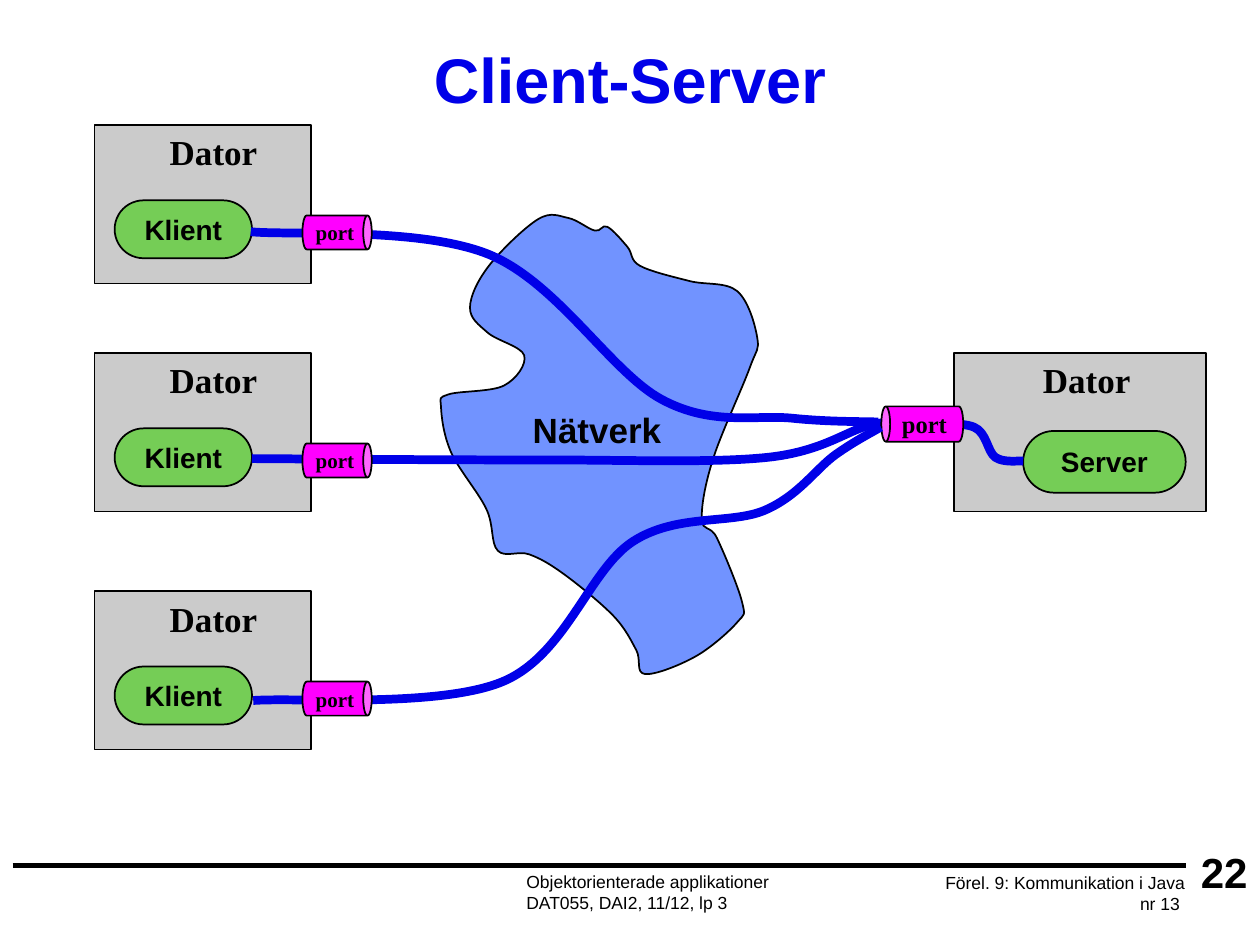
from lxml import etree
from pptx import Presentation
from pptx.dml.color import RGBColor
from pptx.enum.shapes import MSO_CONNECTOR, MSO_SHAPE
from pptx.enum.text import MSO_ANCHOR, PP_ALIGN
from pptx.oxml.ns import qn
from pptx.util import Inches, Pt

RECT, CAPSULE, CAN = MSO_SHAPE.RECTANGLE, MSO_SHAPE.ROUNDED_RECTANGLE, MSO_SHAPE.CAN
LEFT, CENTER, RIGHT = PP_ALIGN.LEFT, PP_ALIGN.CENTER, PP_ALIGN.RIGHT
TOP, MIDDLE = MSO_ANCHOR.TOP, MSO_ANCHOR.MIDDLE
SERIF = "Times New Roman"
BLACK, BLUE, NETWORK_BLUE = "000000", "0000E8", "7193FF"
GRAY, GREEN, MAGENTA = "CBCBCB", "4CCE1E", "FF00FF"
WIDTH, HEIGHT = Inches(10), Inches(7.5)
CELL = WIDTH // 1000

CLIENT_ROWS = (99, 280, 469)
NETWORK = [
    (472, 183), (451, 173), (427, 174), (388, 211), (373, 244), (387, 264), (416, 282),
    (400, 306), (356, 313), (350, 323), (358, 359), (386, 404), (395, 437), (420, 440),
    (448, 456), (487, 489), (505, 516), (512, 535), (552, 521), (585, 494), (589, 478),
    (569, 427), (557, 412), (566, 364), (595, 292), (601, 268), (585, 231), (547, 223),
    (508, 211), (498, 196), (482, 180),
]
TOP_CABLE = [(199, 184), (388, 202), (525, 317), (629, 332), (697, 335)]
MIDDLE_CABLE = [(200, 364), (424, 365), (609, 363), (692, 337), (728, 337),
                (773, 339), (790, 363), (812, 366)]
BOTTOM_CABLE = [(201, 556), (399, 541), (502, 430), (607, 405), (663, 361), (699, 339)]


def rgb(value):
    """Return the colour of a hex string."""
    return RGBColor.from_string(value)


def cells(*numbers):
    """Convert grid cells, 1000 columns by 750 rows, to lengths."""
    return [n * CELL for n in numbers]


def put_text(sp, text, size=10, font="Arial", bold=True, align=CENTER, anchor=MIDDLE,
             wrap=True, spacing=None, vert=None):
    """Write one paragraph per line of text into a shape."""
    tf = sp.text_frame
    tf.word_wrap, tf.vertical_anchor = wrap, anchor
    if vert:
        sp.element.txBody.bodyPr.set("vert", vert)
    for i, line in enumerate(text.split("\n")):
        p = tf.add_paragraph() if i else tf.paragraphs[0]
        p.alignment = align
        if spacing:
            p.line_spacing = spacing
        r = p.add_run()
        r.text = line
        r.font.size, r.font.name, r.font.bold = Pt(size), font, bold
        r.font.color.rgb = rgb(BLACK)
    return tf


def add_text(s, box, text, **style):
    """Add a text box."""
    return put_text(s.shapes.add_textbox(*cells(*box)), text, **style)


def add_box(s, kind, box, fill):
    """Add a preset shape with a thin black outline."""
    sp = s.shapes.add_shape(kind, *cells(*box))
    sp.shadow.inherit = False
    sp.fill.solid()
    sp.fill.fore_color.rgb = rgb(fill)
    sp.line.color.rgb, sp.line.width = rgb(BLACK), Pt(1)
    return sp


def spline(knots, closed):
    """Return the Bezier points of a smooth curve through the knots."""
    if closed:
        knots = [knots[-1], *knots, *knots[:2]]
    else:
        knots = [knots[0], *knots, knots[-1]]
    points = []
    for before, a, b, after in zip(knots, knots[1:], knots[2:], knots[3:]):
        points.append([p + (q - o) / 6 for o, p, q in zip(before, a, b)])
        points.append([q - (t - p) / 6 for p, q, t in zip(a, b, after)])
        points.append(b)
    return points


def add_curve(s, knots, line, width, fill=None):
    """Add a smooth curve through the knots, closed when it has a fill."""
    builder = s.shapes.build_freeform(*cells(*knots[0]))
    points = [cells(*point) for point in spline(knots, bool(fill))]
    builder.add_line_segments(points, close=bool(fill))
    sp = builder.convert_to_shape()
    steps = list(sp.element.iter(qn("a:lnTo")))
    for first, second, third in zip(steps[::3], steps[1::3], steps[2::3]):
        first.tag = qn("a:cubicBezTo")
        for step in (second, third):
            first.append(step[0])
            step.getparent().remove(step)
    sp.shadow.inherit = False
    sp.line.color.rgb, sp.line.width = rgb(line), Pt(width)
    if fill:
        sp.fill.solid()
        sp.fill.fore_color.rgb = rgb(fill)
    else:
        sp.fill.background()


def add_computer(s, box, label_left, capsule, name):
    """Add a computer holding one named process."""
    add_box(s, RECT, box, GRAY)
    sp = add_box(s, CAPSULE, capsule, GREEN)
    sp.adjustments[0] = 0.5
    color = next(sp.element.spPr.iter(qn("a:srgbClr")))
    etree.SubElement(color, qn("a:alpha")).set("val", "67000")
    put_text(sp, name, size=16, wrap=False)
    add_text(s, (label_left, box[1], 173, 67), "Dator", size=20, font=SERIF, anchor=TOP)


def add_port(s, box, rotation, vert, size):
    """Add a lying can whose label stays upright."""
    sp = add_box(s, CAN, box, MAGENTA)
    sp.rotation = rotation
    put_text(sp, "port", size=size, font=SERIF, wrap=False, vert=vert)


def add_footer(s):
    """Add the rule, the course details and the page number."""
    rule = s.shapes.add_connector(MSO_CONNECTOR.STRAIGHT, *cells(10, 687, 941, 687))
    rule.line.color.rgb, rule.line.width = rgb(BLACK), Pt(3)
    etree.SubElement(rule.element.spPr, qn("a:effectLst"))
    add_text(s, (408, 683, 267, 50), "Objektorienterade applikationer\nDAT055, DAI2, 11/12, lp 3",
             bold=False, align=LEFT)
    add_text(s, (683, 684, 267, 50), "Förel. 9: Kommunikation i Java\nnr 13 ",
             bold=False, align=RIGHT)
    add_text(s, (942, 667, 58, 50), "22", size=24, align=RIGHT)


def main():
    """Build the client-server slide."""
    prs = Presentation()
    prs.slide_width, prs.slide_height = WIDTH, HEIGHT
    s = prs.slides.add_slide(prs.slide_layouts[6])
    add_footer(s)
    title = add_text(s, (0, 5, 1000, 102), "Client-Server", size=36, spacing=1.2)
    title.paragraphs[0].runs[0].font.color.rgb = rgb(BLUE)

    add_curve(s, NETWORK, BLACK, 1, NETWORK_BLUE)
    add_text(s, (413, 319, 126, 44), "Nätverk", size=20, align=LEFT, anchor=TOP)
    add_computer(s, (757, 280, 200, 126), 776, (812, 342, 129, 49), "Server")
    for row in CLIENT_ROWS:
        add_computer(s, (75, row, 172, 126), 83, (91, row + 60, 109, 46), "Klient")

    add_curve(s, MIDDLE_CABLE, BLUE, 5)
    add_port(s, (718, 304, 28, 65), 270, "vert", 14)
    for cable in (BOTTOM_CABLE, TOP_CABLE):
        add_curve(s, cable, BLUE, 5)
    for row in CLIENT_ROWS:
        add_port(s, (254, row + 58, 27, 55), 90, "vert270", 12)
    prs.save("out.pptx")


if __name__ == "__main__":
    main()
